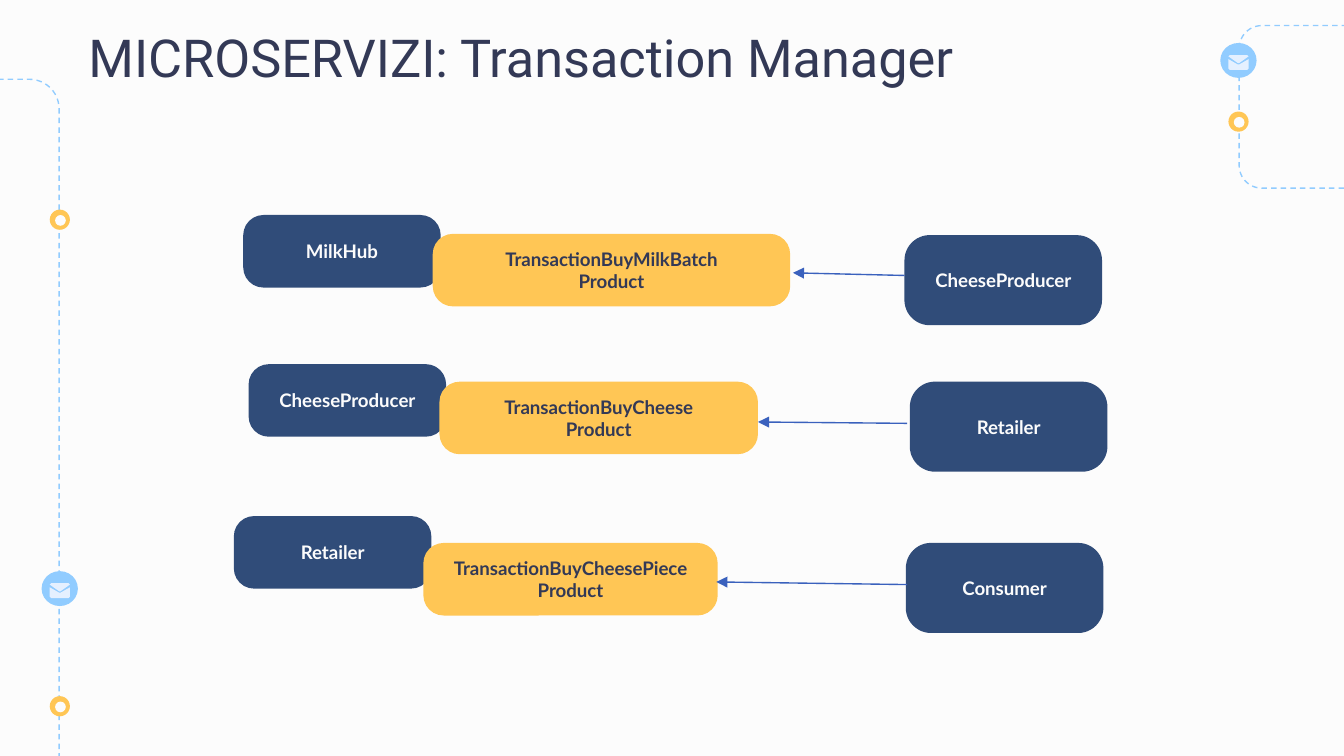
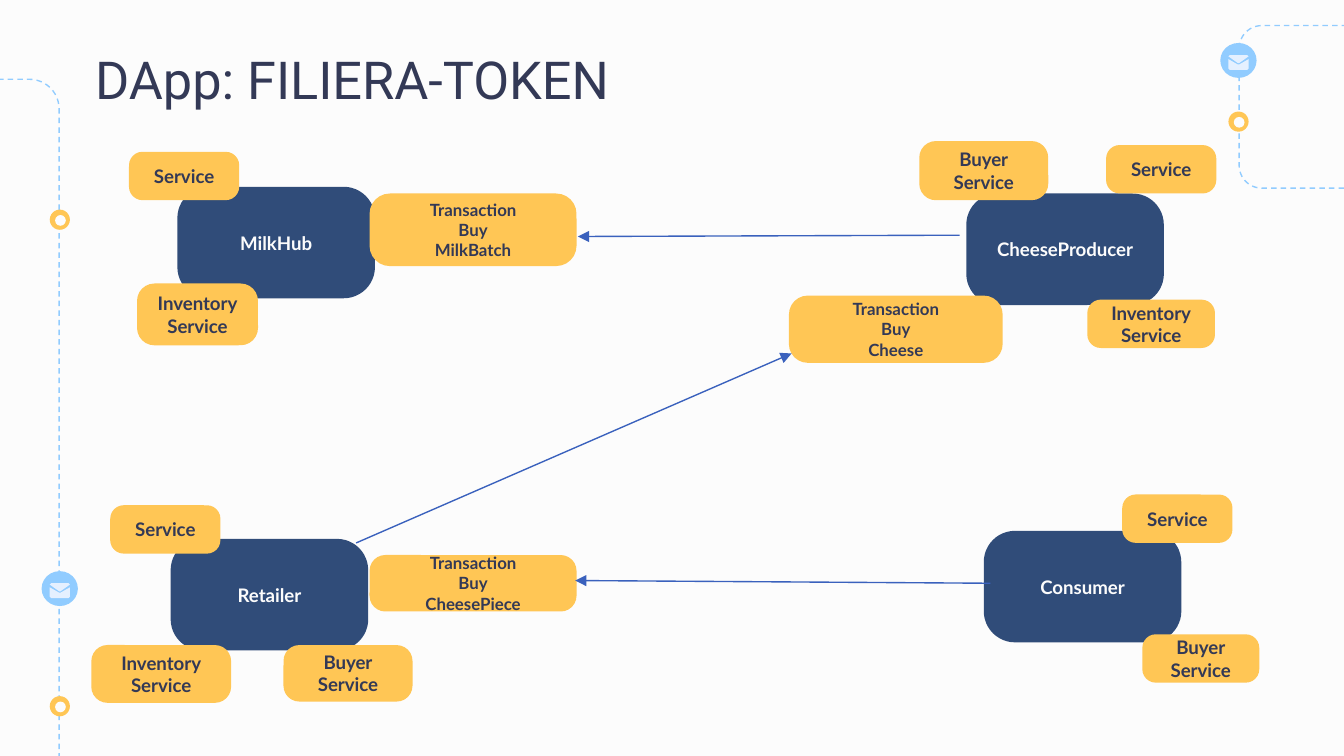
from copy import deepcopy

from lxml.etree import SubElement
from pptx import Presentation
from pptx.dml.color import RGBColor
from pptx.enum.dml import MSO_LINE
from pptx.enum.shapes import MSO_CONNECTOR, MSO_SHAPE
from pptx.enum.text import MSO_ANCHOR, PP_ALIGN
from pptx.oxml.ns import qn
from pptx.util import Inches, Pt

PAPER, NAVY, AMBER, INK = "FCFCFC", "304C79", "FFC655", "333956"
SKY, ENVELOPE, ARROW = "91CCFF", "E5F0FF", "3A61BD"
rgb = RGBColor.from_string

ACTOR_WIDTH = 1.47
BLOCK_CORNER = 0.28
ACTOR_FONT = {"name": "Lato", "size": Pt(10), "bold": True, "color": PAPER}
SERVICE_FONT = ACTOR_FONT | {"color": INK}
TRANSACTION_FONT = SERVICE_FONT | {"size": Pt(9)}
TITLE_FONT = {"name": "Roboto", "size": Pt(28), "bold": False, "color": INK}

# Decoration, in inches: left, top, width, height
dashed_tracks = [((-0.82, 0.59, 1.26, 5.3), 0.175), ((9.22, 0.19, 1.53, 1.21), 0.14)]
ring_corners = [(0.37, 5.18), (9.14, 0.83), (0.37, 1.56)]
badge_corners = [(9.08, 0.32), (0.31, 4.25)]
# Envelope outlines in hundredths of an inch from the badge corner
envelope_flap = [(6, 10), (7, 9), (20, 9), (21, 10), (14, 15), (13, 15)]
envelope_body = [(6, 12), (13, 16), (14, 16), (21, 12),
                 (21, 19), (20, 20), (7, 20), (6, 19)]

# actors: text, left, top, height; services and transactions: text, box;
# arrows: start x, start y, end x, end y
# In a text, \v breaks a line and \n starts a paragraph
diagrams = [
    {
        "title": "MICROSERVIZI: Transaction Manager",
        "title_box": (0.56, 0.09, 7.58, 0.9),
        "actors": [
            ("MilkHub", 1.81, 1.6, 0.54),
            ("CheeseProducer", 6.73, 1.75, 0.67),
            ("CheeseProducer", 1.85, 2.71, 0.54),
            ("Retailer", 6.77, 2.84, 0.67),
            ("Retailer", 1.74, 3.84, 0.54),
            ("Consumer", 6.74, 4.04, 0.67),
        ],
        "services": [
            ("TransactionBuyMilkBatch\vProduct", (3.22, 1.74, 2.66, 0.54)),
            ("TransactionBuyCheese\vProduct", (3.27, 2.84, 2.37, 0.54)),
            ("TransactionBuyCheesePiece\vProduct", (3.15, 4.04, 2.19, 0.54)),
        ],
        "transactions": [],
        "arrows": [
            (6.73, 2.05, 5.9, 2.03),
            (6.75, 3.15, 5.64, 3.14),
            (6.75, 4.35, 5.33, 4.33),
        ],
    },
    {
        "title": "DApp: FILIERA-TOKEN",
        "title_box": (0.61, 0.25, 7.05, 0.63),
        "actors": [
            ("Retailer", 1.27, 4.01, 0.83),
            ("MilkHub", 1.32, 1.39, 0.83),
            ("Consumer", 7.32, 3.95, 0.83),
            ("CheeseProducer", 7.19, 1.44, 0.83),
        ],
        "services": [
            ("Service", (0.82, 3.76, 0.82, 0.36)),
            ("Inventory\vService", (1.02, 2.11, 0.9, 0.46)),
            ("Service", (0.96, 1.13, 0.82, 0.36)),
            ("Service", (8.35, 3.68, 0.82, 0.36)),
            ("Service", (8.23, 1.08, 0.82, 0.36)),
            ("Inventory\vService", (8.09, 2.23, 0.95, 0.36)),
            ("Inventory\vService", (0.68, 4.8, 1.04, 0.43)),
            ("Buyer\vService", (2.11, 4.8, 0.96, 0.42)),
            ("Buyer\vService", (8.5, 4.72, 0.87, 0.36)),
            ("Buyer\vService", (6.84, 1.05, 0.96, 0.44)),
        ],
        "transactions": [
            ("Transaction\vBuy\vMilkBatch", (2.75, 1.44, 1.54, 0.54)),
            ("Transaction\nBuy\nCheesePiece", (2.75, 4.13, 1.54, 0.42)),
            ("Transaction\vBuy\vCheese", (5.87, 2.2, 1.59, 0.5)),
        ],
        "arrows": [
            (7.14, 1.75, 4.3, 1.76),
            (7.37, 4.34, 4.28, 4.32),
            (2.65, 4.04, 5.89, 2.63),
        ],
    },
]


def add_filled(shapes, preset, box, fill):
    """Add a preset shape without outline or shadow; no fill if fill is None."""
    shape = shapes.add_shape(preset, *map(Inches, box))
    shape.shadow.inherit = False
    shape.line.fill.background()
    if fill:
        shape.fill.solid()
        shape.fill.fore_color.rgb = rgb(fill)
    else:
        shape.fill.background()
    return shape


def write_text(shape, text, font_values, align, anchor):
    frame = shape.text_frame
    frame.text = text
    frame_values = {"word_wrap": True, "vertical_anchor": anchor}
    for side in ("left", "top", "right", "bottom"):
        frame_values[f"margin_{side}"] = Inches(0.1)
    for key, value in frame_values.items():
        setattr(frame, key, value)
    for paragraph in frame.paragraphs:
        paragraph.alignment = align
        for run in paragraph.runs:
            for key, value in font_values.items():
                if key == "color":
                    run.font.color.rgb = rgb(value)
                else:
                    setattr(run.font, key, value)
        # A line break takes its height from its own run properties
        for line_break in paragraph._p.findall(qn("a:br")):
            line_break.append(deepcopy(paragraph.runs[0]._r.rPr))


prs = Presentation()
prs.slide_width, prs.slide_height = Inches(10), Inches(10 * 9 / 16)
background = prs.slide_master.background.fill
background.solid()
background.fore_color.rgb = rgb(PAPER)

for diagram in diagrams:
    shapes = prs.slides.add_slide(prs.slide_layouts[6]).shapes

    for box, corner in dashed_tracks:
        track = add_filled(shapes, MSO_SHAPE.ROUNDED_RECTANGLE, box, None)
        track.adjustments[0] = corner
        track.line.color.rgb = rgb(SKY)
        track.line.width = Pt(0.75)
        track.line.dash_style = MSO_LINE.DASH
    for left, top in ring_corners:
        add_filled(shapes, MSO_SHAPE.OVAL, (left, top, 0.15, 0.15), AMBER)
        add_filled(shapes, MSO_SHAPE.OVAL, (left + 0.04, top + 0.04, 0.08, 0.08), PAPER)
    for left, top in badge_corners:
        add_filled(shapes, MSO_SHAPE.OVAL, (left, top, 0.27, 0.26), SKY)
        for outline in (envelope_flap, envelope_body):
            builder = shapes.build_freeform(*outline[0], scale=Inches(0.01))
            builder.add_line_segments(outline[1:], close=True)
            part = builder.convert_to_shape(Inches(left), Inches(top))
            part.shadow.inherit = False
            part.fill.solid()
            part.fill.fore_color.rgb = rgb(ENVELOPE)
            part.line.fill.background()

    title = shapes.add_textbox(*map(Inches, diagram["title_box"]))
    write_text(title, diagram["title"], TITLE_FONT, PP_ALIGN.LEFT, MSO_ANCHOR.TOP)

    actors = [(text, (left, top, ACTOR_WIDTH, height))
              for text, left, top, height in diagram["actors"]]
    for blocks, fill, font_values in (
        (actors, NAVY, ACTOR_FONT),
        (diagram["services"], AMBER, SERVICE_FONT),
        (diagram["transactions"], AMBER, TRANSACTION_FONT),
    ):
        for text, box in blocks:
            block = add_filled(shapes, MSO_SHAPE.ROUNDED_RECTANGLE, box, fill)
            block.adjustments[0] = BLOCK_CORNER
            write_text(block, text, font_values, PP_ALIGN.CENTER, MSO_ANCHOR.MIDDLE)

    for ends in diagram["arrows"]:
        arrow = shapes.add_connector(MSO_CONNECTOR.STRAIGHT, *map(Inches, ends))
        arrow.line.color.rgb = rgb(ARROW)
        arrow.line.width = Pt(0.75)
        SubElement(arrow.line._get_or_add_ln(), qn("a:tailEnd"), type="triangle")
        SubElement(arrow._element.spPr, qn("a:effectLst"))

prs.save("out.pptx")
